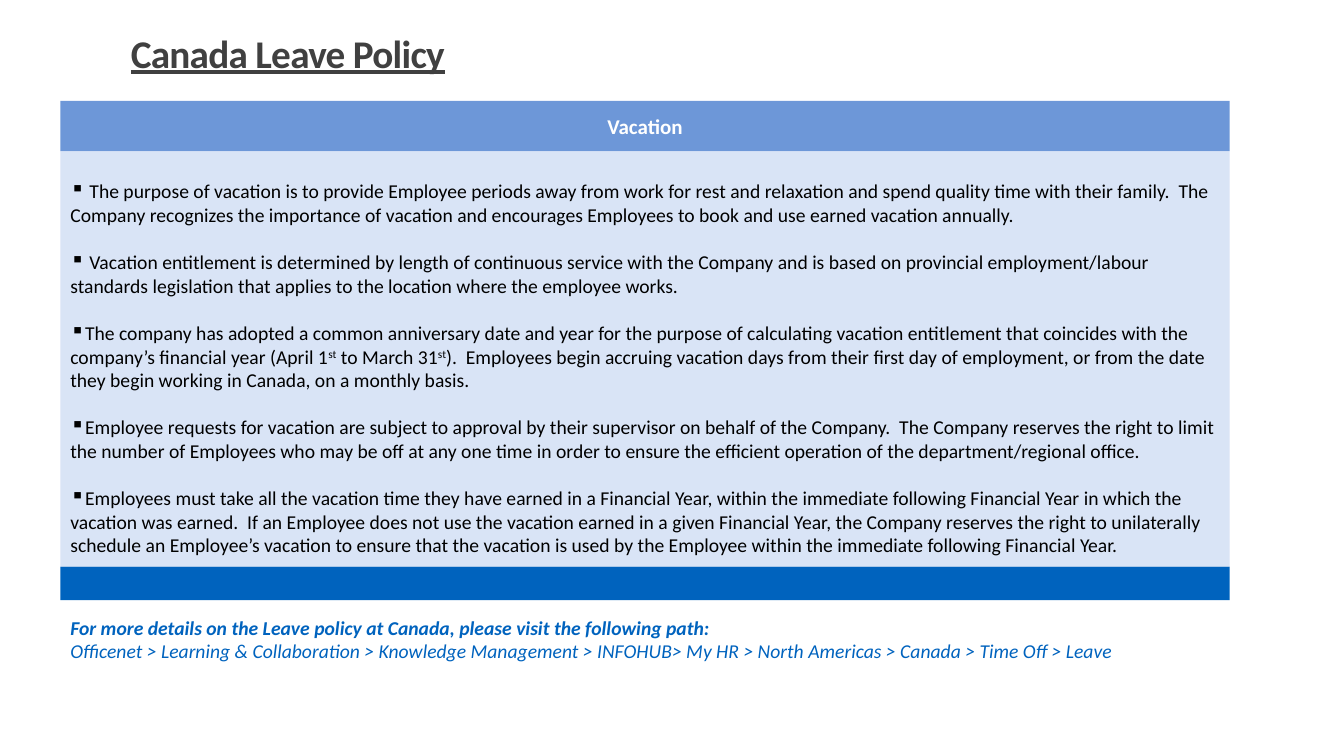
"""Build the Canada Leave Policy slide."""
import pptx
import pptx.dml.color
import pptx.enum.shapes
import pptx.enum.text
import pptx.oxml.ns
import pptx.util
from lxml import etree

Pt = pptx.util.Pt
ALIGN = pptx.enum.text.PP_ALIGN
ANCHOR = pptx.enum.text.MSO_ANCHOR
RECTANGLE = pptx.enum.shapes.MSO_SHAPE.RECTANGLE

TITLE = "Canada Leave Policy"
HEADING = "Vacation"
SUPERSCRIPT = "st"
RULES = [
    [" The purpose of vacation is to provide Employee periods away from work for rest and relaxation and spend quality time with their family.  The Company recognizes the importance of vacation and encourages Employees to book and use earned vacation annually."],
    [" Vacation entitlement is determined by length of continuous service with the Company and is based on provincial employment/labour standards legislation that applies to the location where the employee works."],
    ["The company has adopted a common anniversary date and year for the purpose of calculating vacation entitlement that coincides with the company’s financial year (April 1",
     SUPERSCRIPT, " to March 31", SUPERSCRIPT,
     ").  Employees begin accruing vacation days from their first day of employment, or from the date they begin working in Canada, on a monthly basis."],
    ["Employee requests for vacation are subject to approval by their supervisor on behalf of the Company.  The Company reserves the right to limit the number of Employees who may be off at any one time in order to ensure the efficient operation of the department/regional office."],
    ["Employees must take all the vacation time they have earned in a Financial Year, within the immediate following Financial Year in which the vacation was earned.  If an Employee does not use the vacation earned in a given Financial Year, the Company reserves the right to unilaterally schedule an Employee’s vacation to ensure that the vacation is used by the Employee within the immediate following Financial Year."],
]
DETAILS = "For more details on the Leave policy at Canada, please visit the following path:"
MENU_TRAIL = "Officenet > Learning & Collaboration > Knowledge Management > INFOHUB> My HR > North Americas > Canada > Time Off > Leave"

LEFT, WIDTH = 43.2, 835.2
HEADING_TOP, HEADING_HEIGHT = 72, 36
RULES_HEIGHT, BAR_HEIGHT = 296.64, 24
RULES_TOP = HEADING_TOP + HEADING_HEIGHT
BAR_TOP = RULES_TOP + RULES_HEIGHT
DETAILS_TOP = BAR_TOP + BAR_HEIGHT + 7.7
RULE_GAP = 17
BLUE = "0063BE"


def colour(value):
    return pptx.dml.color.RGBColor.from_string(value)


def add_xml(parent, tag, **attributes):
    return etree.SubElement(parent, pptx.oxml.ns.qn(tag), attributes)


def write(paragraph, text, ink, **formats):
    run = paragraph.add_run()
    run.text = text
    for name, value in {"name": "Calibri", "size": Pt(14), **formats}.items():
        setattr(run.font, name, value)
    run.font.color.rgb = colour(ink)
    return run


def add_panel(top, height, fill):
    panel = slide.shapes.add_shape(RECTANGLE, Pt(LEFT), Pt(top), Pt(WIDTH), Pt(height))
    panel.shadow.inherit = False
    panel.fill.solid()
    panel.fill.fore_color.rgb = colour(fill)
    panel.line.fill.background()
    return panel


def add_text(left, top, width, height):
    frame = slide.shapes.add_textbox(Pt(left), Pt(top), Pt(width), Pt(height)).text_frame
    frame.word_wrap = True
    return frame


deck = pptx.Presentation()
deck.slide_width, deck.slide_height = Pt(960), Pt(540)
slide = deck.slides.add_slide(deck.slide_layouts[6])

title = add_text(86.4, 22.3, 792, 51).paragraphs[0]
title.line_spacing = 0.85
title_run = write(title, TITLE, "404040", size=Pt(28), bold=True, underline=True)
title_run.font._element.set("spc", "-50")

heading = add_panel(HEADING_TOP, HEADING_HEIGHT, "6D97D8").text_frame
heading.vertical_anchor = ANCHOR.MIDDLE
heading.paragraphs[0].alignment = ALIGN.CENTER
write(heading.paragraphs[0], HEADING, "FFFFFF", size=Pt(15), bold=True)

add_panel(BAR_TOP, BAR_HEIGHT, BLUE)

rules_panel = add_panel(RULES_TOP, RULES_HEIGHT, "C1D2F1")
tint = rules_panel.fill._xPr.find(".//" + pptx.oxml.ns.qn("a:srgbClr"))
add_xml(tint, "a:alpha", val="60000")
rules = rules_panel.text_frame
rules.vertical_anchor = ANCHOR.TOP
rules.margin_top = Pt(20)
for index, pieces in enumerate(RULES):
    rule = rules.add_paragraph() if index else rules.paragraphs[0]
    rule.alignment = ALIGN.LEFT
    if index:
        rule.space_before = Pt(RULE_GAP)
    add_xml(rule._p.get_or_add_pPr(), "a:buChar", char="▪")
    for piece in pieces:
        run = write(rule, piece, "000000")
        if piece == SUPERSCRIPT:
            run.font._element.set("baseline", "30000")

details = add_text(LEFT, DETAILS_TOP, WIDTH, 41)
write(details.paragraphs[0], DETAILS, BLUE, bold=True, italic=True)
write(details.add_paragraph(), MENU_TRAIL, BLUE, italic=True)

deck.save("out.pptx")
